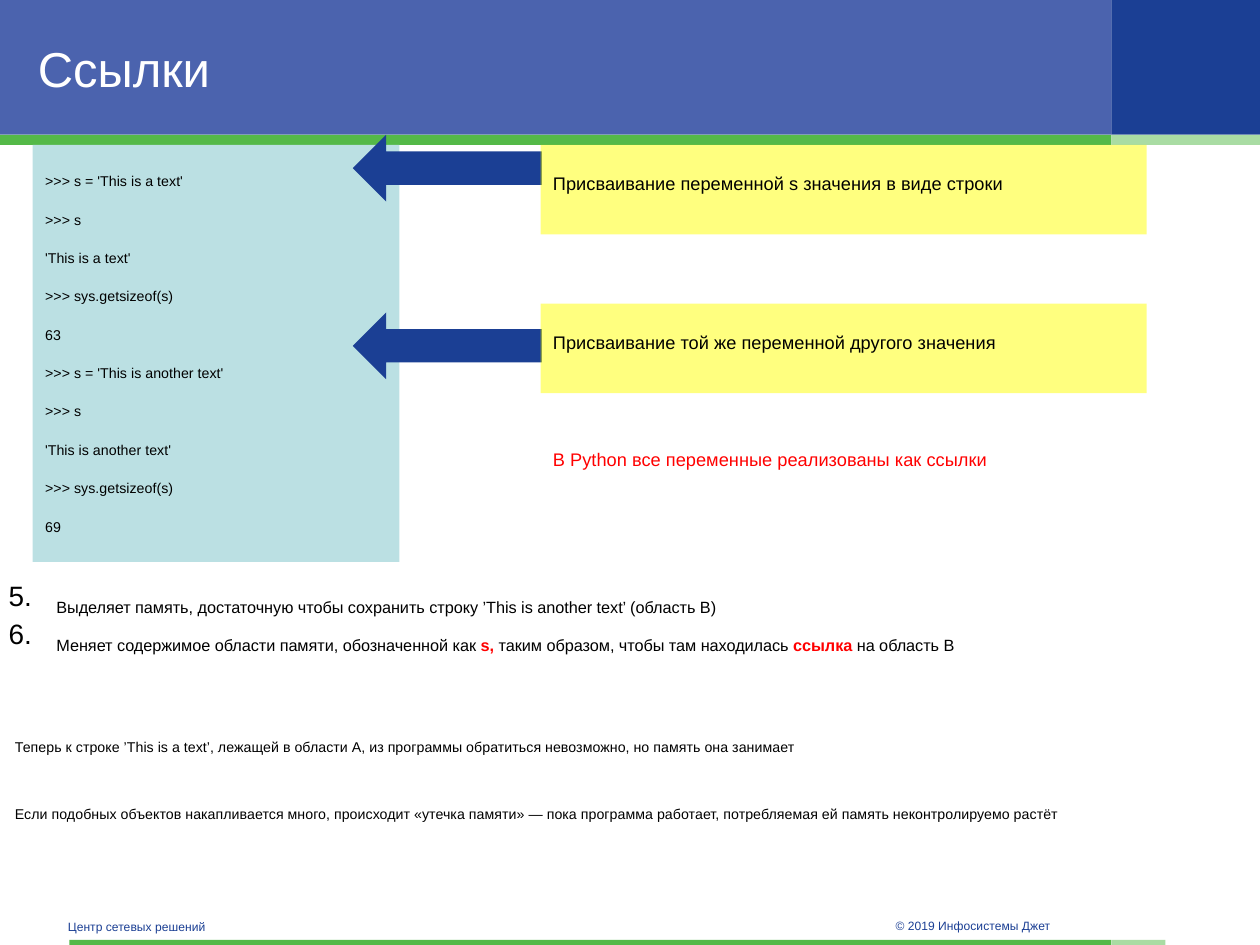
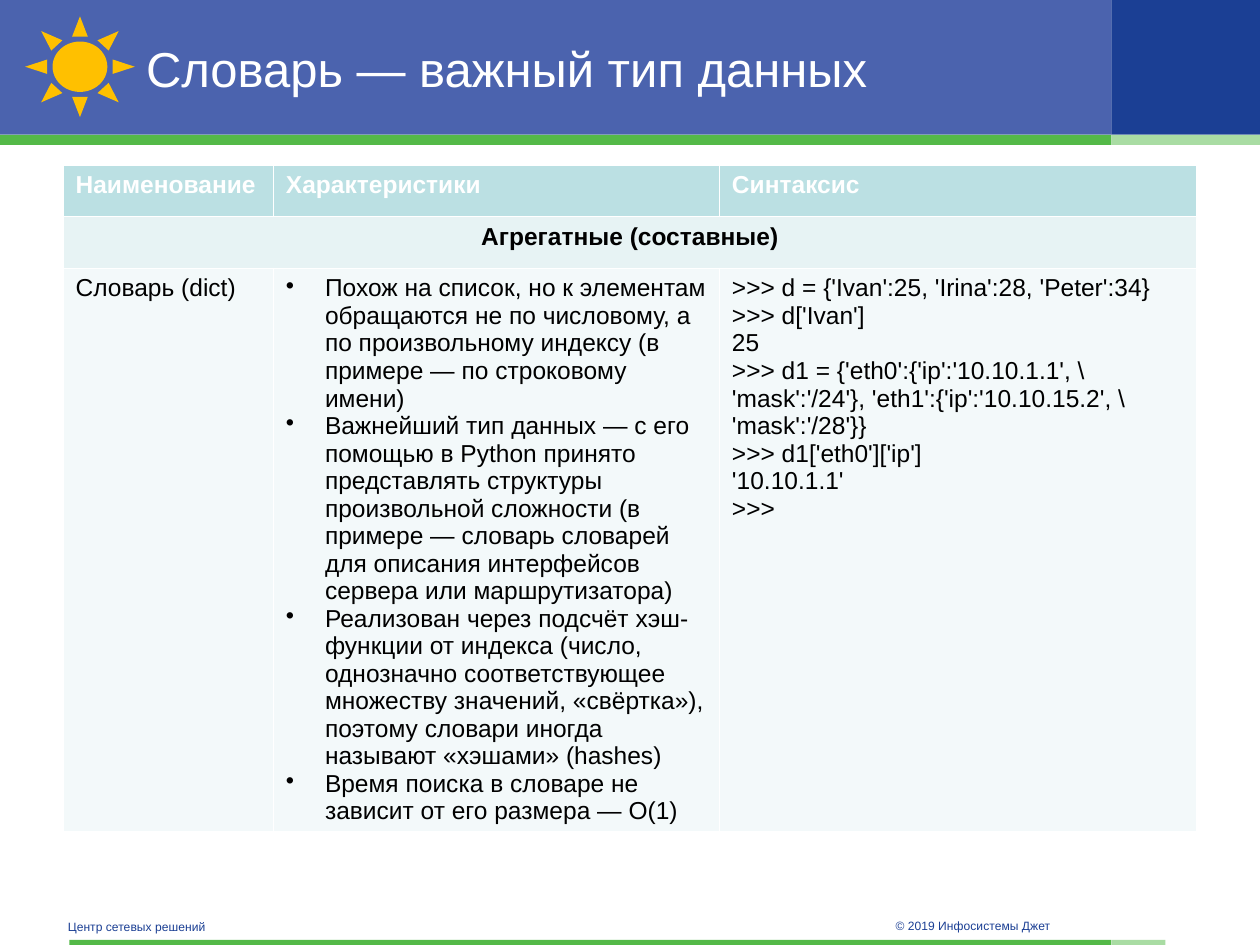
from lxml import etree
from pptx import Presentation
from pptx import util as u
from pptx.dml.color import RGBColor
from pptx.enum import shapes, text
from pptx.oxml.ns import qn

NAVY, BLUE, GREEN, PALE_GREEN = "1B3F94", "4B63AE", "54B948", "A9DCA3"
AQUA, AQUA_LIGHT, AQUA_FAINT = "BBE0E3", "E7F3F4", "F3F9FA"
WHITE, BLACK, RED, YELLOW, ORANGE = "FFFFFF", "000000", "FF0000", "FFFF00", "FFC000"
COLUMNS, ROWS = 100, 75
UNIT = u.Inches(0.1)
SPLIT = 88.2
HEADER, STRIPE = 10.7, 0.8
colour = RGBColor.from_string
RECT = shapes.MSO_SHAPE.RECTANGLE


def block(slide, area, fill=None, kind=RECT):
    left, top, width, height = [int(UNIT * part) for part in area]
    if fill is None:
        return slide.shapes.add_textbox(left, top, width, height)
    shape = slide.shapes.add_shape(kind, left, top, width, height)
    shape.shadow.inherit = False
    shape.fill.solid()
    shape.fill.fore_color.rgb = colour(fill)
    shape.line.fill.background()
    return shape


def write(frame, lines, size, hue=BLACK, lowered=True, gap=0, bullet=None,
          indent=0, bold=False, align=text.PP_ALIGN.LEFT, anchor=text.MSO_ANCHOR.TOP):
    frame.word_wrap = True
    frame.vertical_anchor = anchor
    for index, line in enumerate(lines):
        paragraph = frame.paragraphs[0] if index == 0 else frame.add_paragraph()
        paragraph.alignment = align
        paragraph.space_before = u.Pt(gap if index else 0)
        if bullet:
            properties = paragraph._p.get_or_add_pPr()
            properties.set("marL", str(u.Inches(indent)))
            properties.set("indent", str(-u.Inches(indent)))
            tag, attributes = bullet
            etree.SubElement(properties, qn(tag), attributes)
        paragraph.font.name = "Arial"
        paragraph.font.size = u.Pt(size)
        paragraph.font.bold = bold
        paragraph.font.color.rgb = colour(hue)
        for wording, accent in [(line, False)] if isinstance(line, str) else line:
            run = paragraph.add_run()
            run.text = wording
            if lowered:
                run.font._element.set("baseline", "-25000")
            if accent:
                run.font.bold = True
                run.font.color.rgb = colour(RED)


deck = Presentation()
deck.slide_width, deck.slide_height = UNIT * COLUMNS, UNIT * ROWS

slides = []
for heading, start in [("Ссылки", 2), ("Словарь — важный тип данных", 10.6)]:
    slide = deck.slides.add_slide(deck.slide_layouts[5])
    slides.append(slide)
    for area, fill in [
        ((0, 0, SPLIT, HEADER), BLUE),
        ((SPLIT, 0, COLUMNS - SPLIT, HEADER), NAVY),
        ((0, HEADER, SPLIT, STRIPE), GREEN),
        ((SPLIT, HEADER, COLUMNS - SPLIT, STRIPE), PALE_GREEN),
        ((5.5, ROWS - 0.4, SPLIT - 5.5, 0.4), GREEN),
        ((SPLIT, ROWS - 0.4, 4.3, 0.4), PALE_GREEN),
    ]:
        block(slide, area, fill)
    for area, footer in [
        ((70.1, 71.9, 23.6, 2), "© 2019 Инфосистемы Джет"),
        ((4.4, 71.8, 33, 2.3), "Центр сетевых решений"),
    ]:
        write(block(slide, area).text_frame, [footer], 12, NAVY,
              anchor=text.MSO_ANCHOR.MIDDLE)
    title = slide.shapes.title
    title.left, title.top = int(UNIT * start), int(UNIT * 1.4)
    title.width, title.height = int(UNIT * (86.3 - start)), int(UNIT * 7.9)
    title.text_frame.auto_size = text.MSO_AUTO_SIZE.NONE
    write(title.text_frame, [heading], 28, WHITE, lowered=False,
          anchor=text.MSO_ANCHOR.MIDDLE)
    slide.shapes._spTree.append(title._element)

links, dictionary = slides

session = block(links, (2.6, 11.5, 29.1, 33.1), AQUA).text_frame
session.margin_top = u.Inches(0.09)
write(session, [
    ">>> s = 'This is a text'",
    ">>> s",
    "'This is a text'",
    ">>> sys.getsizeof(s)",
    "63",
    ">>> s = 'This is another text'",
    ">>> s",
    "'This is another text'",
    ">>> sys.getsizeof(s)",
    "69",
], 14, gap=2.8)

for arrow_top, note_top, remark in [
    (10.7, 11.5, "Присваивание переменной s значения в виде строки"),
    (24.8, 24.1, "Присваивание той же переменной другого значения"),
]:
    block(links, (28, arrow_top, 15, 5.3), NAVY, shapes.MSO_SHAPE.LEFT_ARROW)
    note = block(links, (42.9, note_top, 48.1, 7.1), YELLOW)
    tint = note._element.spPr.find(qn("a:solidFill"))[0]
    etree.SubElement(tint, qn("a:alpha"), {"val": "50000"})
    write(note.text_frame, [remark], 18)

write(block(links, (-0.3, 45.4, 98.3, 9.1)).text_frame, [
    "Выделяет память, достаточную чтобы сохранить строку ’This is another text’ (область B)",
    [
        ("Меняет содержимое области памяти, обозначенной как ", False),
        ("s, ", True),
        ("таким образом, чтобы там находилась ", False),
        ("ссылка ", True),
        ("на область B", False),
    ],
], 16, bullet=("a:buAutoNum", {"type": "arabicPeriod", "startAt": "5"}), indent=0.38)

write(block(links, (42.9, 33.4, 48.1, 7.1)).text_frame,
      ["В Python все переменные реализованы как ссылки"], 18, RED)

write(block(links, (0.2, 56.8, 96.3, 12.8)).text_frame, [
    "Теперь к строке ’This is a text’, лежащей в области A, из программы обратиться "
    "невозможно, но память она занимает",
    "Если подобных объектов накапливается много, происходит «утечка памяти» — пока "
    "программа работает, потребляемая ей память неконтролируемо растёт",
], 14, gap=19)

widths, heights = [16.7, 35.4, 37.9], [4.1, 4.1, 44.6]
types = dictionary.shapes.add_table(
    len(heights), len(widths), UNIT * 5, int(UNIT * 13.1),
    int(UNIT * sum(widths)), int(UNIT * sum(heights))).table
for column, width in zip(types.columns, widths):
    column.width = int(UNIT * width)
for row, height, fill in zip(types.rows, heights, [AQUA, AQUA_LIGHT, AQUA_FAINT]):
    row.height = int(UNIT * height)
    for cell in row.cells:
        cell.fill.solid()
        cell.fill.fore_color.rgb = colour(fill)

for cell, name in zip(types.rows[0].cells, ["Наименование", "Характеристики", "Синтаксис"]):
    write(cell.text_frame, [name], 14, WHITE, lowered=False, bold=True)

types.cell(1, 0).merge(types.cell(1, 2))
write(types.cell(1, 0).text_frame, ["Агрегатные (составные)"], 14, lowered=False,
      bold=True, align=text.PP_ALIGN.CENTER)

write(types.cell(2, 0).text_frame, ["Словарь (dict)"], 14, lowered=False)
write(types.cell(2, 1).text_frame, [
    "Похож на список, но к элементам обращаются не по числовому, а по произвольному "
    "индексу (в примере — по строковому имени)",
    "Важнейший тип данных — с его помощью в Python принято представлять структуры "
    "произвольной сложности (в примере — словарь словарей для описания интерфейсов "
    "сервера или маршрутизатора)",
    "Реализован через подсчёт хэш-функции от индекса (число, однозначно соответствующее "
    "множеству значений, «свёртка»), поэтому словари иногда называют «хэшами» (hashes)",
    "Время поиска в словаре не зависит от его размера — O(1)",
], 14, lowered=False, bullet=("a:buChar", {"char": "•"}), indent=0.31)
write(types.cell(2, 2).text_frame, [
    ">>> d = {'Ivan':25, 'Irina':28, 'Peter':34}",
    ">>> d['Ivan']",
    "25",
    ">>> d1 = {'eth0':{'ip':'10.10.1.1', \\ 'mask':'/24'}, "
    "'eth1':{'ip':'10.10.15.2', \\ 'mask':'/28'}}",
    ">>> d1['eth0']['ip']",
    "'10.10.1.1'",
    ">>>",
], 14, lowered=False)

block(dictionary, (2, 1.3, 8.7, 8), ORANGE, shapes.MSO_SHAPE.SUN)

deck.save("out.pptx")
